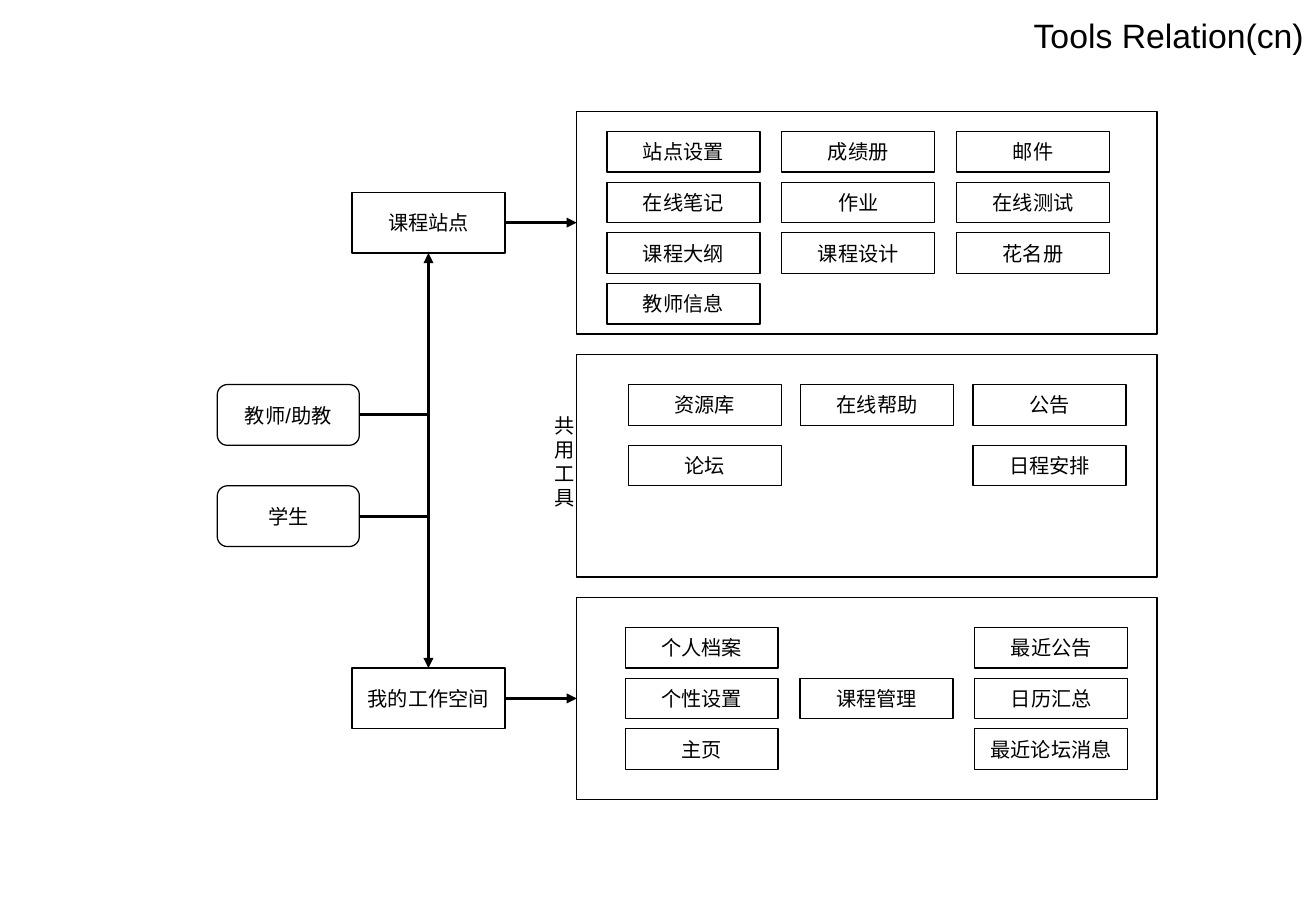
from lxml import etree
from pptx import Presentation
from pptx import util as u
from pptx.dml.color import RGBColor
from pptx.enum import shapes, text
from pptx.oxml import ns

COLORS = {"ink": "000000", "paper": "FFFFFF"}
COLUMNS, ROWS = 108.4, 90
PROCESS = shapes.MSO_SHAPE.FLOWCHART_PROCESS
ROUNDED = shapes.MSO_SHAPE.FLOWCHART_ALTERNATE_PROCESS
TOP, LEFT, BOTTOM, RIGHT = range(4)
TOOL_WIDTH, TOOL_HEIGHT = 12.6, 4

PANELS = {
    "site": (11, 22),
    "shared": (35, 22),
    "workspace": (59, 20),
}
TOOLS = [
    (50, 13, 14.4, 5, [
        ["站点设置", "成绩册", "邮件"],
        ["在线笔记", "作业", "在线测试"],
        ["课程大纲", "课程设计", "花名册"],
        ["教师信息"],
    ]),
    (51.75, 38, 14.2, 6, [
        ["资源库", "在线帮助", "公告"],
        ["论坛", None, "日程安排"],
    ]),
    (51.5, 62, 14.4, 5, [
        ["个人档案", None, "最近公告"],
        ["个性设置", "课程管理", "日历汇总"],
        ["主页", None, "最近论坛消息"],
    ]),
]


class Diagram:
    font = "Arial"
    text_size = 12
    title_size = 20
    border = 0.75
    arrow_width = 1.75

    def __init__(self, deck):
        self.slide = deck.slides.add_slide(deck.slide_layouts[6])
        self.column = deck.slide_width / COLUMNS
        self.row = deck.slide_height / ROWS
        fill = self.slide.background.fill
        fill.solid()
        fill.fore_color.rgb = self.color("paper")

    def color(self, name):
        return RGBColor.from_string(COLORS[name])

    def place(self, left, top, width, height):
        return (round(left * self.column), round(top * self.row),
                round(width * self.column), round(height * self.row))

    def set_words(self, shape, words, size, align, anchor, wrap=False):
        frame = shape.text_frame
        frame.text = words
        frame.word_wrap = wrap
        frame.vertical_anchor = anchor
        for para in frame.paragraphs:
            para.alignment = align
            for span in para.runs:
                span.font.name = self.font
                span.font.size = u.Pt(size)
                span.font.color.rgb = self.color("ink")

    def box(self, left, top, width, height, words="", kind=PROCESS):
        shape = self.slide.shapes.add_shape(kind, *self.place(left, top, width, height))
        shape.shadow.inherit = False
        shape.fill.background()
        shape.line.color.rgb = self.color("ink")
        shape.line.width = u.Pt(self.border)
        if words:
            self.set_words(shape, words, self.text_size,
                           text.PP_ALIGN.CENTER, text.MSO_ANCHOR.MIDDLE)
        return shape

    def title(self, left, top, width, height, words):
        shape = self.slide.shapes.add_textbox(*self.place(left, top, width, height))
        self.set_words(shape, words, self.title_size,
                       text.PP_ALIGN.RIGHT, text.MSO_ANCHOR.MIDDLE, wrap=True)

    def vertical_label(self, left, top, width, height, words):
        shape = self.slide.shapes.add_textbox(*self.place(left, top, width, height))
        self.set_words(shape, "\n".join(words), self.text_size,
                       text.PP_ALIGN.LEFT, text.MSO_ANCHOR.TOP)
        shape.text_frame.auto_size = text.MSO_AUTO_SIZE.SHAPE_TO_FIT_TEXT

    def tools(self, left, top, column_step, row_step, names):
        for row, line in enumerate(names):
            for column, name in enumerate(line):
                if name:
                    self.box(left + column * column_step, top + row * row_step,
                             TOOL_WIDTH, TOOL_HEIGHT, name)

    def arrow(self, source, target, target_side, bent=False):
        kind = shapes.MSO_CONNECTOR.ELBOW if bent else shapes.MSO_CONNECTOR.STRAIGHT
        link = self.slide.shapes.add_connector(kind, 0, 0, 0, 0)
        link.begin_connect(source, RIGHT)
        link.end_connect(target, target_side)
        link.line.color.rgb = self.color("ink")
        link.line.width = u.Pt(self.arrow_width)
        properties = link._element.spPr
        if bent:
            properties.find(ns.qn("a:prstGeom")).set("prst", "bentConnector2")
        outline = properties.find(ns.qn("a:ln"))
        etree.SubElement(outline, ns.qn("a:tailEnd"), type="triangle")
        etree.SubElement(properties, ns.qn("a:effectLst"))


def main():
    deck = Presentation()
    deck.slide_width, deck.slide_height = u.Inches(10.84), u.Inches(7.5)
    diagram = Diagram(deck)

    diagram.title(59.6, 0, 48.8, 7, "Tools Relation(cn)")
    panels = {name: diagram.box(47.5, top, 47.8, height)
              for name, (top, height) in PANELS.items()}
    for group in TOOLS:
        diagram.tools(*group)

    site = diagram.box(29, 19, 12.6, 6, "课程站点")
    workspace = diagram.box(29, 66, 12.6, 6, "我的工作空间")
    teacher = diagram.box(17.9, 38, 11.7, 6, "教师/助教", ROUNDED)
    student = diagram.box(17.9, 48, 11.7, 6, "学生", ROUNDED)
    diagram.vertical_label(44.7, 40.2, 3.6, 10.8, "共用工具")

    diagram.arrow(site, panels["site"], LEFT)
    diagram.arrow(workspace, panels["workspace"], LEFT)
    diagram.arrow(teacher, workspace, TOP, bent=True)
    diagram.arrow(student, site, BOTTOM, bent=True)

    deck.save("out.pptx")


if __name__ == "__main__":
    main()
